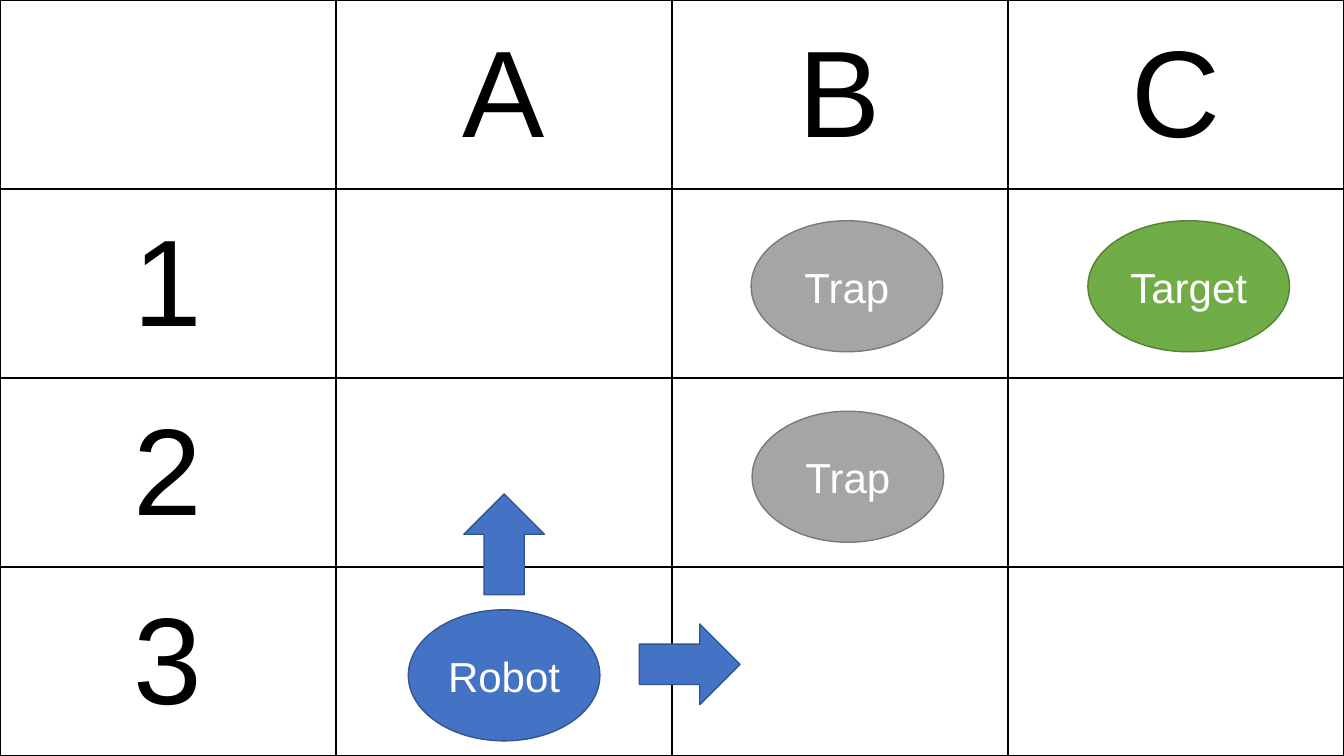
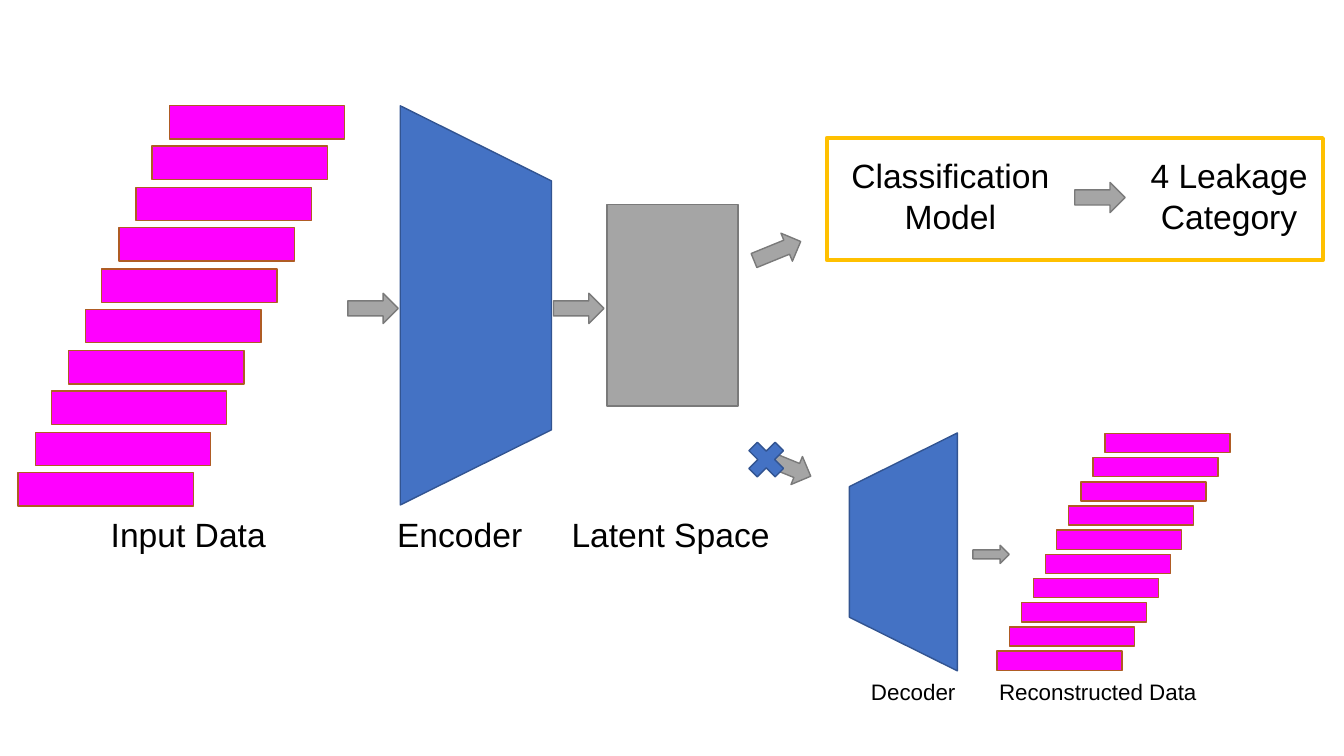
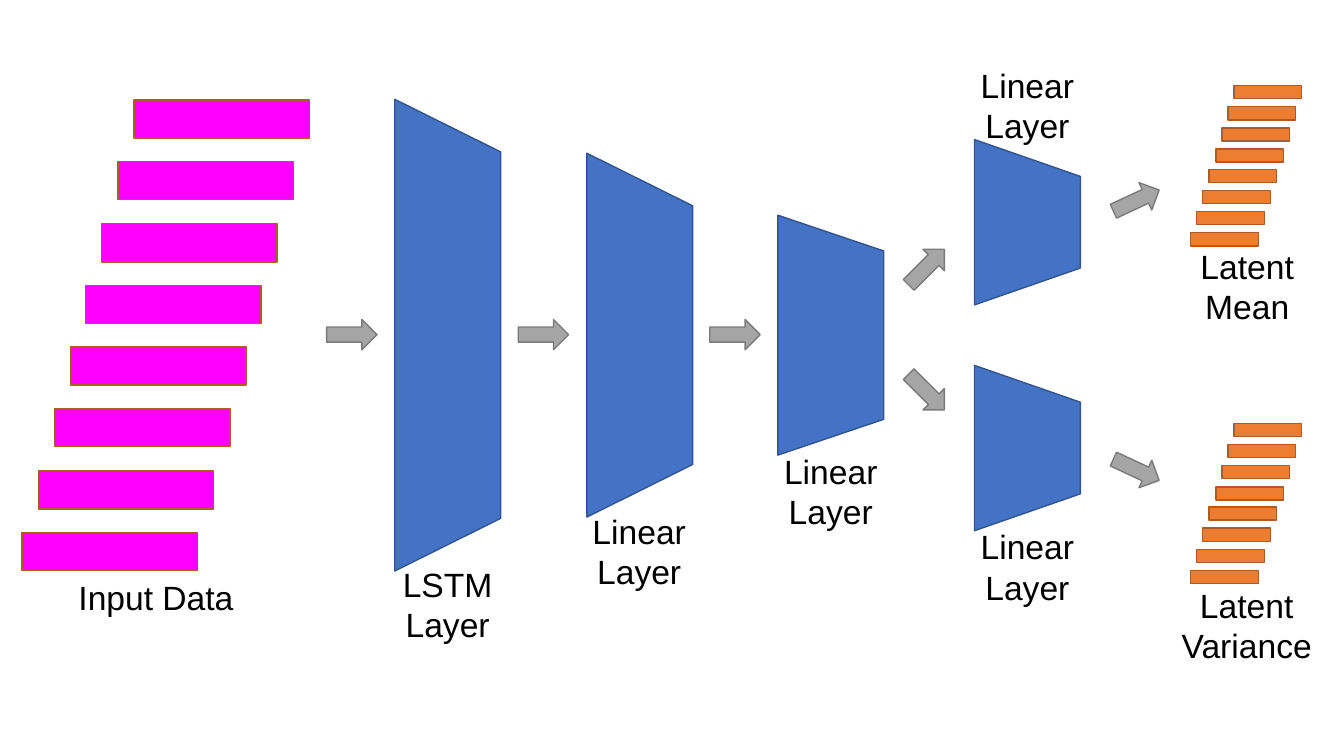
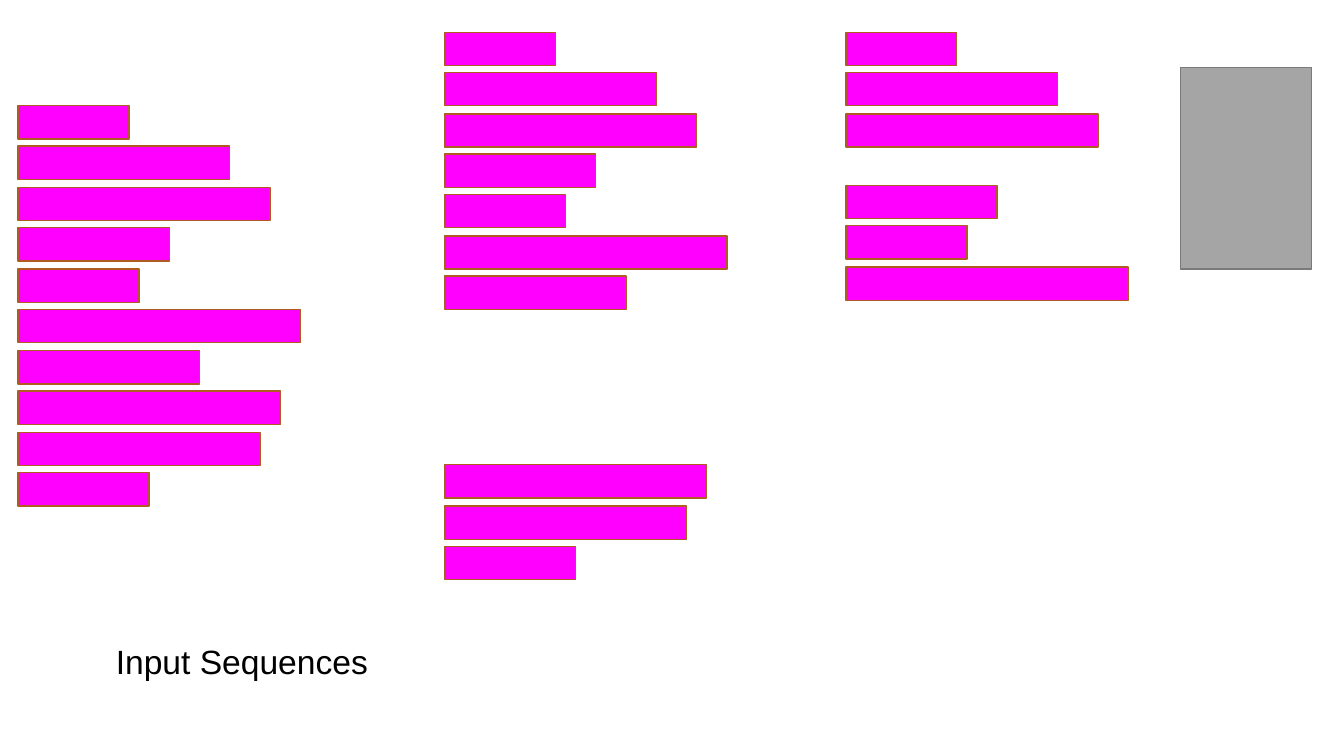
from dataclasses import dataclass
from typing import Optional

from lxml import etree
from pptx import Presentation
from pptx import util as u
from pptx.dml.color import RGBColor
from pptx.enum import shapes, text
from pptx.oxml import ns

PX = 9144
WIDTH, HEIGHT = 1333, 750
FONT = "Arial"

BLACK = RGBColor(0x00, 0x00, 0x00)
WHITE = RGBColor(0xFF, 0xFF, 0xFF)
BLUE = RGBColor(0x44, 0x72, 0xC4)
DARK_BLUE = RGBColor(0x32, 0x54, 0x91)
GREEN = RGBColor(0x70, 0xAD, 0x47)
DARK_GREEN = RGBColor(0x53, 0x80, 0x35)
GRAY = RGBColor(0xA5, 0xA5, 0xA5)
DARK_GRAY = RGBColor(0x7A, 0x7A, 0x7A)
MAGENTA = RGBColor(0xFF, 0x00, 0xFF)
ORANGE = RGBColor(0xED, 0x7D, 0x31)
BROWN = RGBColor(0xAF, 0x5C, 0x24)
GOLD = RGBColor(0xFF, 0xC0, 0x00)

KIND = shapes.MSO_SHAPE
CENTER = text.PP_ALIGN.CENTER
LEFT = text.PP_ALIGN.LEFT


@dataclass(frozen=True)
class Look:
    fill: Optional[RGBColor]
    line: RGBColor
    weight: int = 1


BLUE_LOOK = Look(BLUE, DARK_BLUE)
GREEN_LOOK = Look(GREEN, DARK_GREEN)
GRAY_LOOK = Look(GRAY, DARK_GRAY)
MAGENTA_LOOK = Look(MAGENTA, BROWN)
ORANGE_LOOK = Look(ORANGE, BROWN)
FRAME_LOOK = Look(None, GOLD, 3)


@dataclass(frozen=True)
class Box:
    kind: KIND
    left: int
    top: int
    width: int
    height: int
    look: Look
    rotation: float = 0
    adjust: Optional[float] = None
    caption: str = ""


@dataclass(frozen=True)
class Label:
    caption: str
    left: int
    top: int
    width: int
    height: int = 50
    size: int = 24


@dataclass(frozen=True)
class Bars:
    first: tuple[int, int]
    last: tuple[int, int]
    widths: tuple[int, ...]
    height: int
    look: Look = MAGENTA_LOOK


def px(n: float) -> u.Emu:
    return u.Emu(round(n * PX))


def write(tf, caption: str, *, size: int, color: RGBColor = BLACK, align=CENTER) -> None:
    tf.text = caption
    for p in tf.paragraphs:
        p.alignment = align
        for r in p.runs:
            r.font.name = FONT
            r.font.size = u.Pt(size)
            r.font.color.rgb = color


def draw_box(parent, box: Box) -> None:
    sp = parent.add_shape(box.kind, px(box.left), px(box.top), px(box.width), px(box.height))
    sp.shadow.inherit = False
    sp.rotation = box.rotation
    if box.adjust is not None:
        sp.adjustments[0] = box.adjust
    if box.look.fill is None:
        sp.fill.background()
    else:
        sp.fill.solid()
        sp.fill.fore_color.rgb = box.look.fill
    sp.line.color.rgb = box.look.line
    sp.line.width = u.Pt(box.look.weight)
    if box.caption:
        sp.text_frame.vertical_anchor = text.MSO_ANCHOR.MIDDLE
        write(sp.text_frame, box.caption, size=30, color=WHITE)


def draw_boxes(parent, boxes: list[Box]) -> None:
    for box in boxes:
        draw_box(parent, box)


def draw_label(parent, label: Label) -> None:
    sp = parent.add_textbox(px(label.left), px(label.top), px(label.width), px(label.height))
    tf = sp.text_frame
    tf.word_wrap = False
    tf.auto_size = text.MSO_AUTO_SIZE.SHAPE_TO_FIT_TEXT
    align = CENTER if "\n" in label.caption else LEFT
    write(tf, label.caption, size=label.size, align=align)


def draw_labels(parent, labels: list[Label]) -> None:
    for label in labels:
        draw_label(parent, label)


def draw_bars(parent, bars: Bars) -> None:
    (x0, y0), (x1, y1) = bars.first, bars.last
    gaps = len(bars.widths) - 1
    for i, width in enumerate(bars.widths):
        left = round(x0 + (x1 - x0) * i / gaps)
        top = round(y0 + (y1 - y0) * i / gaps)
        draw_box(parent, Box(KIND.RECTANGLE, left, top, width, bars.height, bars.look))


def arrow(left: int, top: int, rotation: float = 0, width: int = 50, height: int = 30) -> Box:
    return Box(KIND.RIGHT_ARROW, left, top, width, height, GRAY_LOOK, rotation)


def layer(left: int, top: int, width: int, height: int, adjust: float, rotation: int = 90) -> Box:
    return Box(KIND.TRAPEZOID, left, top, width, height, BLUE_LOOK, rotation, adjust)


def oval(caption: str, left: int, top: int, look: Look, width: int = 190) -> Box:
    return Box(KIND.OVAL, left, top, width, 130, look, caption=caption)


def border_cell(cell) -> None:
    tc_pr = cell._tc.get_or_add_tcPr()
    for i, side in enumerate(("lnL", "lnR", "lnT", "lnB")):
        ln = etree.Element(ns.qn(f"a:{side}"), w=str(u.Pt(1)))
        fill = etree.SubElement(ln, ns.qn("a:solidFill"))
        etree.SubElement(fill, ns.qn("a:srgbClr"), val=str(BLACK))
        tc_pr.insert(i, ln)


def draw_grid(parent, rows: list[list[str]]) -> None:
    table = parent.add_table(len(rows), len(rows[0]), 0, 0, px(WIDTH), px(HEIGHT)).table
    table.first_row = False
    table.horz_banding = False
    for row, captions in zip(table.rows, rows):
        row.height = px(HEIGHT / len(rows))
        for cell, caption in zip(row.cells, captions):
            cell.fill.background()
            border_cell(cell)
            cell.vertical_anchor = text.MSO_ANCHOR.MIDDLE
            if caption:
                write(cell.text_frame, caption, size=88)


def robot_slide(parent) -> None:
    draw_grid(parent, [["", "A", "B", "C"]] + [[n, "", "", ""] for n in "123"])
    draw_boxes(parent, [
        oval("Robot", 405, 605, BLUE_LOOK),
        oval("Target", 1079, 219, GREEN_LOOK, 200),
        oval("Trap", 745, 219, GRAY_LOOK),
        oval("Trap", 746, 408, GRAY_LOOK),
        Box(KIND.DOWN_ARROW, 644, 609, 80, 100, BLUE_LOOK, 270),
        Box(KIND.DOWN_ARROW, 460, 490, 80, 100, BLUE_LOOK, 180),
    ])


def autoencoder_slide(parent) -> None:
    draw_bars(parent, Bars((168, 105), (18, 469), (174,) * 10, 33))
    draw_bars(parent, Bars((1096, 430), (989, 646), (124,) * 10, 19))
    draw_boxes(parent, [
        Box(KIND.RECTANGLE, 602, 203, 130, 200, GRAY_LOOK),
        arrow(345, 291),
        arrow(404, 359),
        arrow(549, 291),
        arrow(746, 234, 337.8),
        layer(274, 228, 396, 150, 0.497),
        layer(778, 494, 236, 107, 0.497, 270),
        arrow(965, 541, width=36, height=18),
        arrow(1066, 181),
        Box(KIND.RECTANGLE, 820, 137, 492, 121, FRAME_LOOK),
        arrow(756, 448, 22.2),
        Box(KIND.MATH_MULTIPLY, 735, 431, 50, 50, BLUE_LOOK),
    ])
    draw_labels(parent, [
        Label("Input Data", 100, 505, 176),
        Label("Encoder", 384, 505, 146),
        Label("Latent Space", 557, 505, 219),
        Label("Decoder", 854, 668, 105, 37, 16),
        Label("Reconstructed Data", 981, 668, 218, 37, 16),
        Label("Classification\nModel", 833, 149, 219, 91),
        Label("4 Leakage\nCategory", 1130, 149, 178, 91),
    ])


def encoder_slide(parent) -> None:
    draw_bars(parent.add_group_shape().shapes, Bars((133, 99), (22, 528), (174,) * 8, 38))
    latent = parent.add_group_shape().shapes
    for top in (85, 420):
        draw_bars(latent, Bars((1224, top), (1181, top + 146), (67,) * 8, 13, ORANGE_LOOK))
    draw_boxes(parent, [
        layer(210, 280, 468, 105, 0.497),
        layer(454, 280, 361, 105, 0.497),
        layer(705, 280, 238, 105, 0.338),
    ])
    draw_boxes(parent, [arrow(left, 317) for left in (324, 514, 704)])
    for pair in (
        [layer(937, top, 164, 105, 0.348) for top in (168, 392)],
        [arrow(894, 250, 315), arrow(894, 374, 45)],
        [arrow(1102, 184, 335), arrow(1102, 451, 25)],
    ):
        draw_boxes(parent.add_group_shape().shapes, pair)
    draw_label(parent, Label("Input Data", 68, 567, 176))
    draw_label(parent, Label("LSTM\nLayer", 389, 554, 110, 91))
    for left, top in ((577, 502), (767, 442), (962, 517), (962, 59)):
        draw_label(parent, Label("Linear\nLayer", left, top, 114, 91))
    draw_label(parent, Label("Latent\nMean", 1180, 239, 114, 91))
    draw_label(parent, Label("Latent\nVariance", 1161, 575, 151, 91))


def sequences_slide(parent) -> None:
    widths = (110, 210, 250, 150, 120, 280, 180, 260, 240, 130)
    for left, top, bottom, part in (
        (18, 105, 469, widths),
        (441, 32, 274, widths[:7]),
        (441, 461, 542, widths[7:]),
        (839, 32, 113, widths[:3]),
        (839, 184, 265, widths[3:6]),
    ):
        draw_bars(parent, Bars((left, top), (left, bottom), part, 33))
    draw_box(parent, Box(KIND.RECTANGLE, 1171, 67, 130, 200, GRAY_LOOK))
    draw_label(parent, Label("Input Sequences", 105, 631, 273))


def main() -> None:
    prs = Presentation()
    prs.slide_width, prs.slide_height = px(WIDTH), px(HEIGHT)
    for build in (robot_slide, autoencoder_slide, encoder_slide, sequences_slide):
        s = prs.slides.add_slide(prs.slide_layouts[6])
        build(s.shapes)
    prs.save("out.pptx")


if __name__ == "__main__":
    main()
